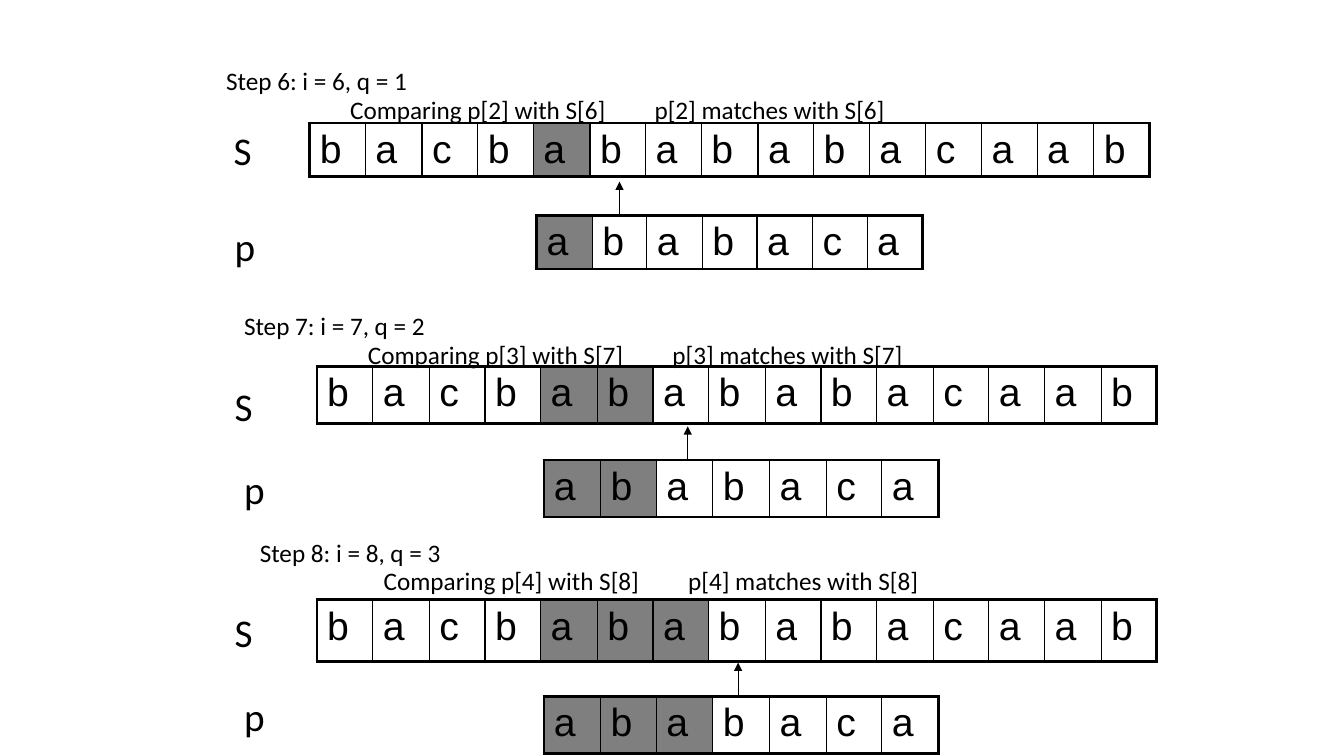
from collections import namedtuple

from lxml.etree import SubElement
from pptx import Presentation
from pptx.dml.color import RGBColor
from pptx.enum.shapes import MSO_CONNECTOR as Connector
from pptx.enum.text import MSO_AUTO_SIZE as AutoSize
from pptx.oxml.ns import qn
from pptx.util import Pt

PX = 9525
COLORS = {"ink": "000000"}
TEXT = "bacbababababcaab".replace("bababababcaab", "bababacaab")
TEXT = "bacbabababacaab"
PATTERN = "ababaca"
HANGING = 36

Step = namedtuple("Step", "number caption text_row text_label pattern_row pattern_label arrow_x")
STEPS = [
    Step(6, (206, 61), (295, 117, 800, 48), (213, 116), (511, 205, 368, 48), (214, 207), 590),
    Step(7, (223, 294), (302, 349, 800, 48), (214, 359), (518, 438, 376, 51), (223, 438), 655),
    Step(8, (238, 510), (302, 571, 800, 59), (214, 575), (518, 663, 376, 51), (223, 655), 703),
]


def px(*lengths):
    return [length * PX for length in lengths]


def ink():
    return RGBColor.from_string(COLORS["ink"])


def style(para, font, size):
    for span in para.runs:
        span.font.name = font
        span.font.size = Pt(size)
        span.font.color.rgb = ink()


def add_text(slide, text, left, top, width, height, size=18, caption=False):
    box = slide.shapes.add_textbox(*px(left, top, width, height))
    frame = box.text_frame
    frame.text = text
    para = frame.paragraphs[0]
    style(para, "Calibri", size)
    frame.word_wrap = caption
    if caption:
        para.line_spacing = 0.9
        properties = para._p.get_or_add_pPr()
        properties.set("marL", str(HANGING * PX))
        properties.set("indent", str(-HANGING * PX))
    else:
        frame.auto_size = AutoSize.SHAPE_TO_FIT_TEXT


def solid_fill(parent):
    fill = SubElement(parent, qn("a:solidFill"))
    return SubElement(fill, qn("a:srgbClr"), val=COLORS["ink"])


def style_cell(cell, first, last, matched):
    properties = cell._tc.get_or_add_tcPr()
    widths = {"lnL": 2.25 if first else 1, "lnR": 2.25 if last else 1, "lnT": 2.25, "lnB": 2.25}
    for side, width in widths.items():
        solid_fill(SubElement(properties, qn(f"a:{side}"), w=str(Pt(width))))
    if matched:
        SubElement(solid_fill(properties), qn("a:alpha"), val="50000")
    else:
        cell.fill.background()


def add_letter_row(slide, letters, area, matched):
    count = len(letters)
    table = slide.shapes.add_table(1, count, *px(*area)).table
    table.first_row = False
    table.horz_banding = False
    edges = [round(area[2] * index / count) for index in range(count + 1)]
    for index, letter in enumerate(letters):
        table.columns[index].width = (edges[index + 1] - edges[index]) * PX
        cell = table.cell(0, index)
        cell.text = letter
        style(cell.text_frame.paragraphs[0], "Arial", 28)
        style_cell(cell, index == 0, index == count - 1, index in matched)


def add_arrow(slide, x, bottom, top):
    arrow = slide.shapes.add_connector(Connector.STRAIGHT, *px(x, bottom, x, top))
    arrow.line.color.rgb = ink()
    arrow.line.width = Pt(0.75)
    SubElement(arrow.line._get_or_add_ln(), qn("a:tailEnd"), type="triangle")
    SubElement(arrow._element.spPr, qn("a:effectLst"))


def add_step(slide, step):
    matched = step.number - 5
    position = matched + 1
    left, top = step.caption
    shift = len("bacb")
    add_letter_row(slide, TEXT, step.text_row, range(shift, shift + matched))
    add_letter_row(slide, PATTERN, step.pattern_row, range(matched))
    add_text(slide, f"Step {step.number}: i = {step.number}, q = {matched}",
             left, top, 240, 24, caption=True)
    add_text(slide, f"Comparing p[{position}] with S[{step.number}]",
             left + 118, top + 24, 266, 38)
    add_text(slide, f"p[{position}] matches with S[{step.number}]",
             left + 408, top + 24, 241, 38)
    add_text(slide, "S", *step.text_label, 36, 55, size=28)
    add_text(slide, "p", *step.pattern_label, 40, 55, size=28)
    pattern_top = step.pattern_row[1]
    add_arrow(slide, step.arrow_x, pattern_top, pattern_top - 32)


def main():
    deck = Presentation()
    deck.slide_width, deck.slide_height = px(1280, 720)
    slide = deck.slides.add_slide(deck.slide_layouts[6])
    for step in STEPS:
        add_step(slide, step)
    deck.save("out.pptx")


if __name__ == "__main__":
    main()
